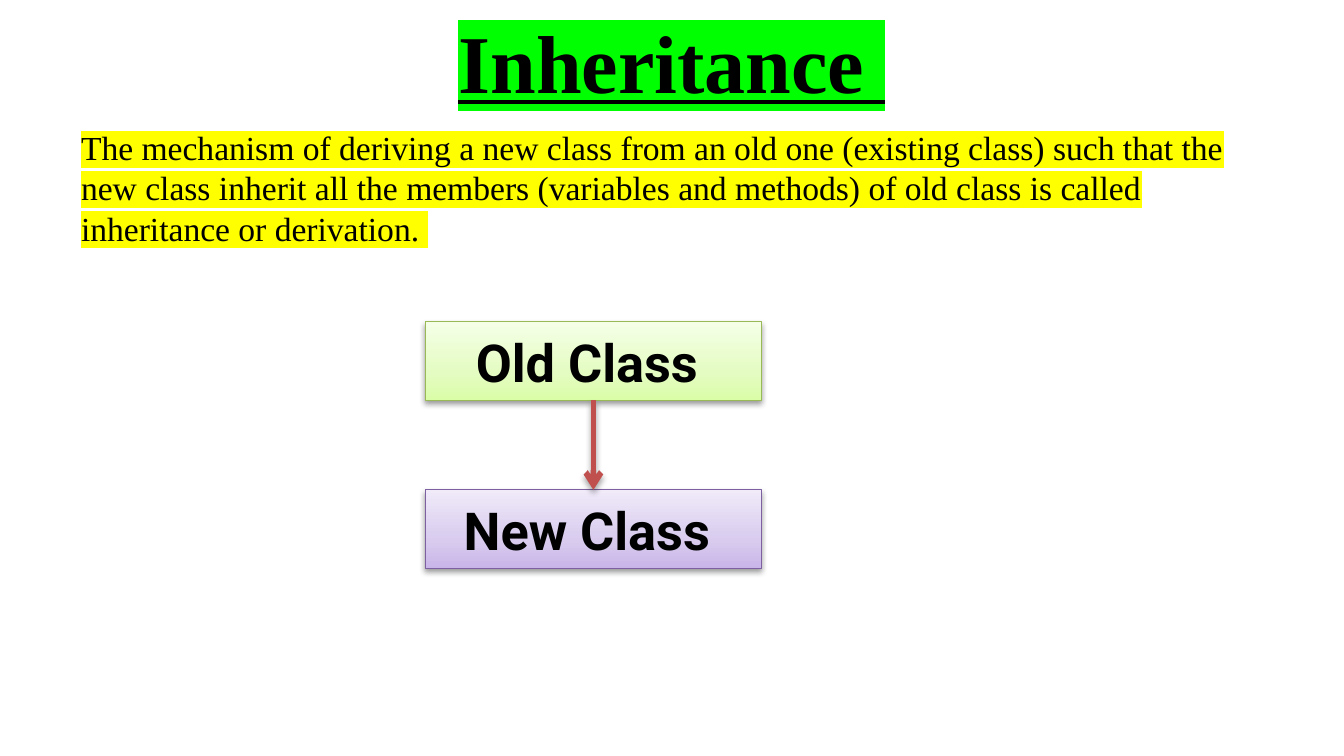
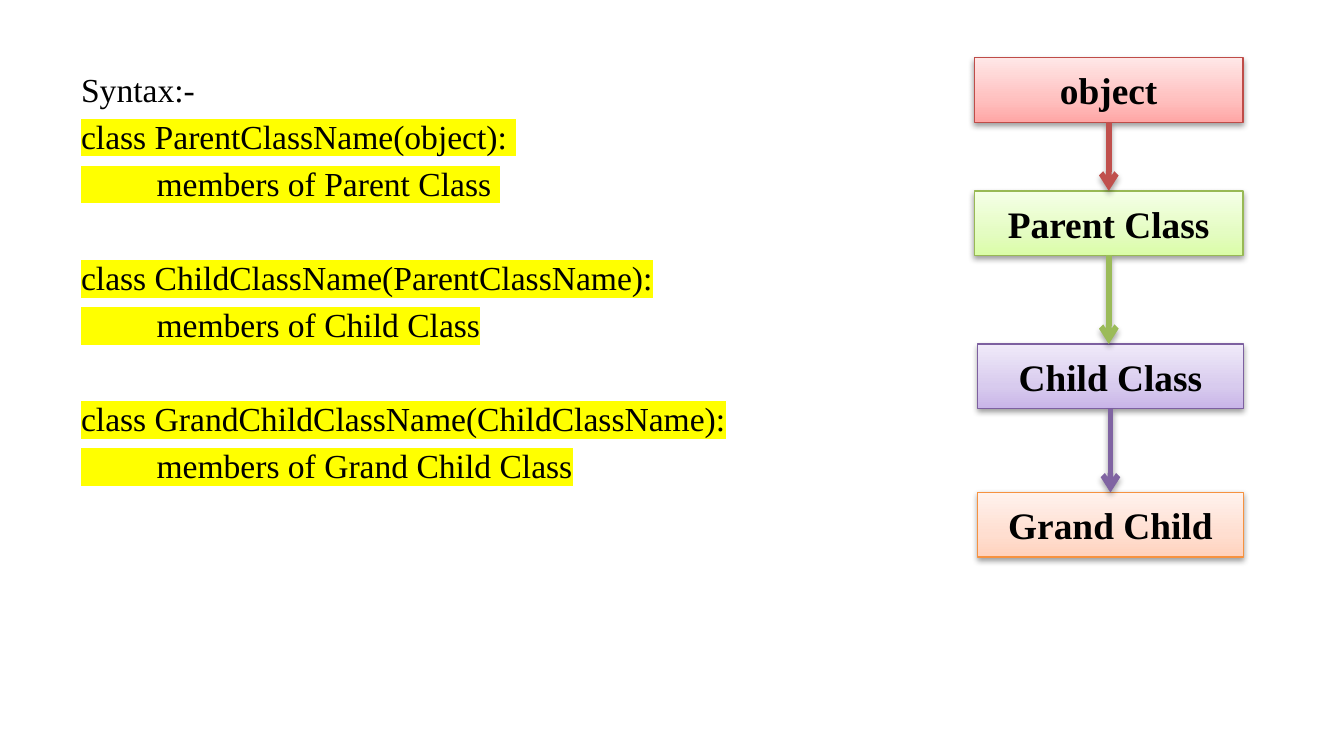
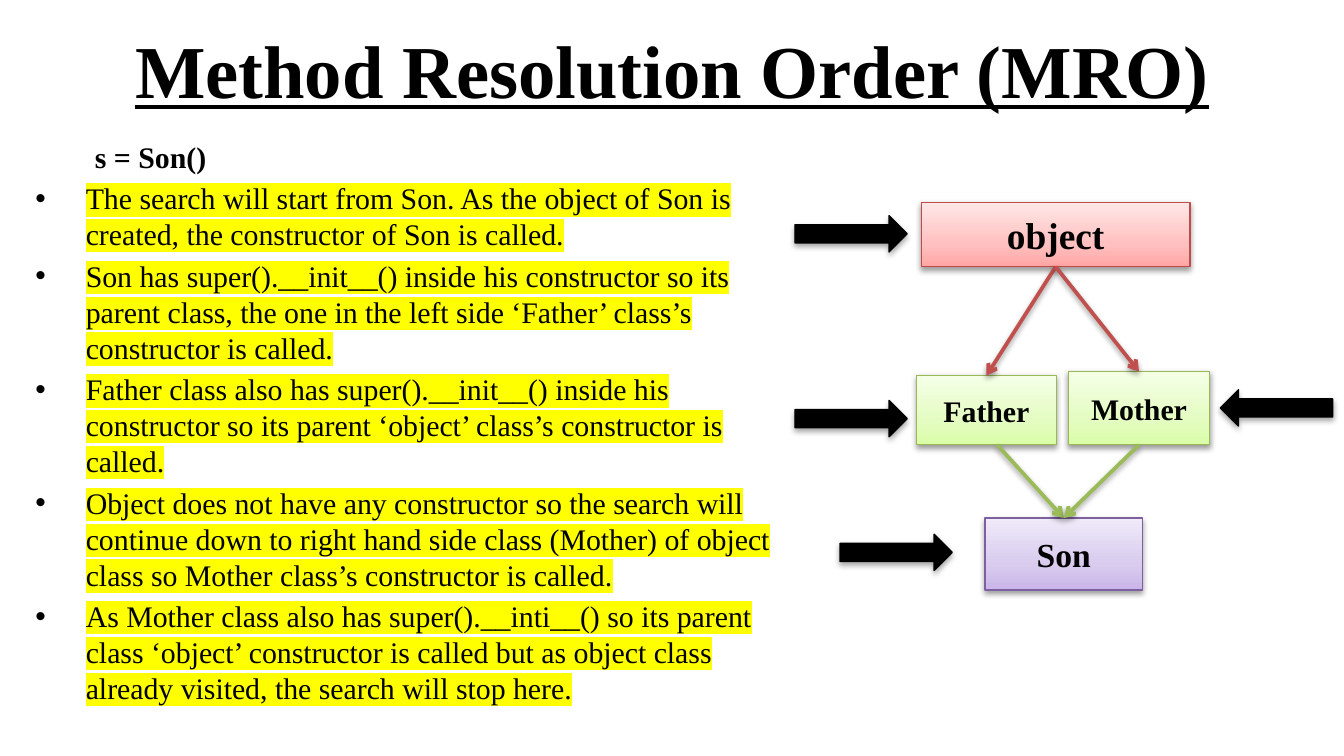
from dataclasses import dataclass

from lxml.etree import SubElement
from pptx import Presentation
from pptx.dml.color import RGBColor
from pptx.enum.shapes import MSO_CONNECTOR, MSO_SHAPE
from pptx.enum.text import MSO_ANCHOR, PP_ALIGN
from pptx.oxml.ns import qn
from pptx.shapes.autoshape import Shape
from pptx.slide import Slide
from pptx.util import Pt

PX = 4572  # 200 px to the inch
WIDTH, HEIGHT = 2000, 1125
INDENT = 75
SERIF, SANS = "Times New Roman", "Roboto"

BLACK = RGBColor(0x00, 0x00, 0x00)
LIME = RGBColor(0x00, 0xFF, 0x00)
YELLOW = RGBColor(0xFF, 0xFF, 0x00)
BRICK = RGBColor(0xC0, 0x50, 0x4D)
LEAF = RGBColor(0x9B, 0xBB, 0x59)
PLUM = RGBColor(0x80, 0x64, 0xA2)


@dataclass(frozen=True)
class Tint:
    """Box gradient from bottom to top, and box outline."""
    low: RGBColor
    mid: RGBColor
    high: RGBColor
    edge: RGBColor


RED = Tint(RGBColor(0xFF, 0xA6, 0xA5), RGBColor(0xFF, 0xC0, 0xBF),
           RGBColor(0xFF, 0xE7, 0xE7), RGBColor(0xBF, 0x4C, 0x48))
GREEN = Tint(RGBColor(0xDA, 0xFD, 0xA7), RGBColor(0xE4, 0xFC, 0xC2),
             RGBColor(0xF5, 0xFF, 0xE7), RGBColor(0x98, 0xB9, 0x55))
PURPLE = Tint(RGBColor(0xC9, 0xB5, 0xE8), RGBColor(0xD8, 0xCB, 0xEE),
              RGBColor(0xF0, 0xEA, 0xF9), RGBColor(0x7D, 0x60, 0xA0))
ORANGE = Tint(RGBColor(0xFF, 0xD2, 0xBD), RGBColor(0xFF, 0xDE, 0xD0),
              RGBColor(0xFF, 0xF2, 0xED), RGBColor(0xF6, 0x92, 0x40))


@dataclass(frozen=True)
class Area:
    left: int
    top: int
    width: int
    height: int

    def emu(self) -> tuple[int, int, int, int]:
        return (self.left * PX, self.top * PX, self.width * PX, self.height * PX)


@dataclass(frozen=True)
class Box:
    text: str
    area: Area
    tint: Tint
    size: int = 20
    font: str = SERIF


@dataclass(frozen=True)
class Link:
    """Arrow from the bottom of one box to the top of another.

    The shifts move an end sideways from the middle of its box.
    """
    start: Box
    end: Box
    color: RGBColor
    width: int = 3
    start_shift: int = 0
    end_shift: int = 0


@dataclass(frozen=True)
class Para:
    text: str
    mark: RGBColor | None = YELLOW
    bold: bool = False
    bullet: bool = False
    gap: float = 0.2  # space before, in ems


def add_shade(props, deep: bool) -> None:
    """Give shape properties a soft shadow below."""
    effects = props.find(qn("a:effectLst"))
    if effects is None:
        effects = SubElement(props, qn("a:effectLst"))
    shade = SubElement(effects, qn("a:outerShdw"), blurRad="40000",
                       dist="23000" if deep else "20000",
                       dir="5400000", rotWithShape="0")
    color = SubElement(shade, qn("a:srgbClr"), val=str(BLACK))
    SubElement(color, qn("a:alpha"), val="35000" if deep else "38000")


def fill_tint(shape: Shape, tint: Tint) -> None:
    shape.fill.gradient()
    shape.fill.gradient_angle = 90
    stops = shape._element.spPr.find(qn("a:gradFill")).find(qn("a:gsLst"))
    for stop in list(stops):
        stops.remove(stop)
    for place, color in ((0, tint.low), (35, tint.mid), (100, tint.high)):
        stop = SubElement(stops, qn("a:gs"), pos=str(place * 1000))
        SubElement(stop, qn("a:srgbClr"), val=str(color))


def set_font(para, name: str, size: int, bold: bool) -> None:
    font = para.font
    font.name, font.size, font.bold = name, Pt(size), bold
    font.color.rgb = BLACK


def add_run(para, text: str, mark: RGBColor | None) -> None:
    run = para.add_run()
    run.text = text
    if mark is not None:
        light = SubElement(run._r.get_or_add_rPr(), qn("a:highlight"))
        SubElement(light, qn("a:srgbClr"), val=str(mark))


def add_title(slide: Slide, text: str, top: int, size: int,
              mark: RGBColor | None = None) -> None:
    frame = slide.shapes.add_textbox(*Area(100, top, 1800, 188).emu()).text_frame
    frame.word_wrap = True
    frame.vertical_anchor = MSO_ANCHOR.MIDDLE
    para = frame.paragraphs[0]
    para.alignment = PP_ALIGN.CENTER
    set_font(para, SERIF, size, True)
    para.font.underline = True
    add_run(para, text, mark)


def add_body(slide: Slide, area: Area, size: int, paras: list[Para]) -> None:
    frame = slide.shapes.add_textbox(*area.emu()).text_frame
    frame.word_wrap = True
    for index, item in enumerate(paras):
        para = frame.add_paragraph() if index else frame.paragraphs[0]
        if index:
            para.space_before = Pt(round(item.gap * size, 1))
        if item.bullet:
            props = para._p.get_or_add_pPr()
            props.set("marL", str(INDENT * PX))
            props.set("indent", str(-INDENT * PX))
            SubElement(props, qn("a:buFont"), typeface="Arial")
            SubElement(props, qn("a:buChar"), char="•")
        set_font(para, SERIF, size, item.bold)
        add_run(para, item.text, item.mark)


def add_box(slide: Slide, box: Box) -> Shape:
    shape = slide.shapes.add_shape(MSO_SHAPE.RECTANGLE, *box.area.emu())
    fill_tint(shape, box.tint)
    shape.line.color.rgb = box.tint.edge
    shape.line.width = Pt(0.75)
    shape.shadow.inherit = False
    add_shade(shape._element.spPr, deep=False)
    frame = shape.text_frame
    frame.vertical_anchor = MSO_ANCHOR.MIDDLE
    para = frame.paragraphs[0]
    para.alignment = PP_ALIGN.CENTER
    set_font(para, box.font, box.size, True)
    add_run(para, box.text, None)
    return shape


def add_link(slide: Slide, link: Link, shapes: dict[Box, Shape]) -> None:
    start, end = link.start.area, link.end.area
    line = slide.shapes.add_connector(
        MSO_CONNECTOR.STRAIGHT,
        (start.left + start.width // 2 + link.start_shift) * PX,
        (start.top + start.height) * PX,
        (end.left + end.width // 2 + link.end_shift) * PX, end.top * PX)
    if not link.start_shift:
        line.begin_connect(shapes[link.start], 2)
    if not link.end_shift:
        line.end_connect(shapes[link.end], 0)
    line.line.color.rgb = link.color
    line.line.width = Pt(link.width)
    props = line._element.spPr
    SubElement(props.find(qn("a:ln")), qn("a:tailEnd"), type="arrow")
    add_shade(props, deep=link.width > 2)


def add_chain(slide: Slide, boxes: list[Box], links: list[Link]) -> None:
    shapes = {box: add_box(slide, box) for box in boxes}
    for link in links:
        add_link(slide, link, shapes)


def add_hand(slide: Slide, left: int, top: int, turn: int = 0) -> None:
    """Draw a black block arrow that points at a box."""
    shape = slide.shapes.add_shape(MSO_SHAPE.RIGHT_ARROW,
                                   *Area(left, top, 167, 54).emu())
    shape.rotation = turn
    shape.fill.solid()
    shape.fill.fore_color.rgb = BLACK
    shape.line.color.rgb = BLACK
    shape.line.width = Pt(0.75)
    shape.shadow.inherit = False
    add_shade(shape._element.spPr, deep=True)


def draw_intro(slide: Slide) -> None:
    add_title(slide, "Inheritance ", -4, 44, LIME)
    add_body(slide, Area(101, 179, 1800, 300), 18, [Para(
        "The mechanism of deriving a new class from an old one (existing class) "
        "such that the new class inherit all the members (variables and methods) "
        "of old class is called inheritance or derivation. ")])
    old = Box("Old Class ", Area(633, 479, 500, 117), GREEN, 28, SANS)
    new = Box("New Class ", Area(633, 729, 500, 117), PURPLE, 28, SANS)
    add_chain(slide, [old, new], [Link(old, new, BRICK)])


def draw_syntax(slide: Slide) -> None:
    paras = [Para("Syntax:-", mark=None)]
    for index, (head, part) in enumerate((
            ("ParentClassName(object): ", "Parent Class "),
            ("ChildClassName(ParentClassName):", "Child Class"),
            ("GrandChildClassName(ChildClassName):", "Grand Child Class"))):
        paras.append(Para(f"class {head}", gap=1.6 if index else 0.2))
        paras.append(Para(f"         members of {part}"))
    add_body(slide, Area(101, 92, 1266, 904), 18, paras)
    base = Box("object", Area(1450, 86, 400, 96), RED)
    parent = Box("Parent Class", Area(1450, 284, 400, 96), GREEN)
    child = Box("Child Class", Area(1455, 512, 395, 96), PURPLE)
    grand = Box("Grand Child", Area(1455, 733, 395, 96), ORANGE)
    add_chain(slide, [parent, grand, child, base],
              [Link(parent, child, LEAF, end_shift=-2),
               Link(child, grand, PLUM), Link(base, parent, BRICK)])


def draw_order(slide: Slide) -> None:
    base = Box("object", Area(1371, 301, 400, 96), RED)
    father = Box("Father", Area(1364, 559, 208, 103), GREEN, 16)
    mother = Box("Mother", Area(1590, 553, 210, 109), GREEN, 16)
    son = Box("Son", Area(1466, 771, 234, 107), PURPLE, 18)
    add_chain(slide, [father, mother, son, base],
              [Link(father, son, LEAF, 2, start_shift=16),
               Link(mother, son, LEAF, 2),
               Link(base, father, BRICK, 2), Link(base, mother, BRICK, 2)])
    add_title(slide, "Method Resolution Order (MRO)", 8, 40)
    steps = (
        "The search will start from Son. As the object of Son is created, "
        "the constructor of Son is called.",
        "Son has super().__init__() inside his constructor so its parent class, "
        "the one in the left side ‘Father’ class’s constructor is called.",
        "Father class also has super().__init__() inside his constructor so its "
        "parent ‘object’ class’s constructor is called.",
        "Object does not have any constructor so the search will continue down "
        "to right hand side class (Mother) of object class so Mother class’s "
        "constructor is called.",
        "As Mother class also has super().__inti__() so its parent class "
        "‘object’ constructor is called but as object class already visited, "
        "the search will stop here.")
    add_body(slide, Area(33, 196, 1167, 900), 16,
             [Para("        s = Son()", mark=None, bold=True)]
             + [Para(step, bullet=True) for step in steps])
    for left, top in ((1250, 795), (1183, 596), (1183, 321)):
        add_hand(slide, left, top)
    add_hand(slide, 1816, 580, turn=180)


def main() -> None:
    deck = Presentation()
    deck.slide_width, deck.slide_height = WIDTH * PX, HEIGHT * PX
    for draw in (draw_intro, draw_syntax, draw_order):
        draw(deck.slides.add_slide(deck.slide_layouts[6]))
    deck.save("out.pptx")


if __name__ == "__main__":
    main()
